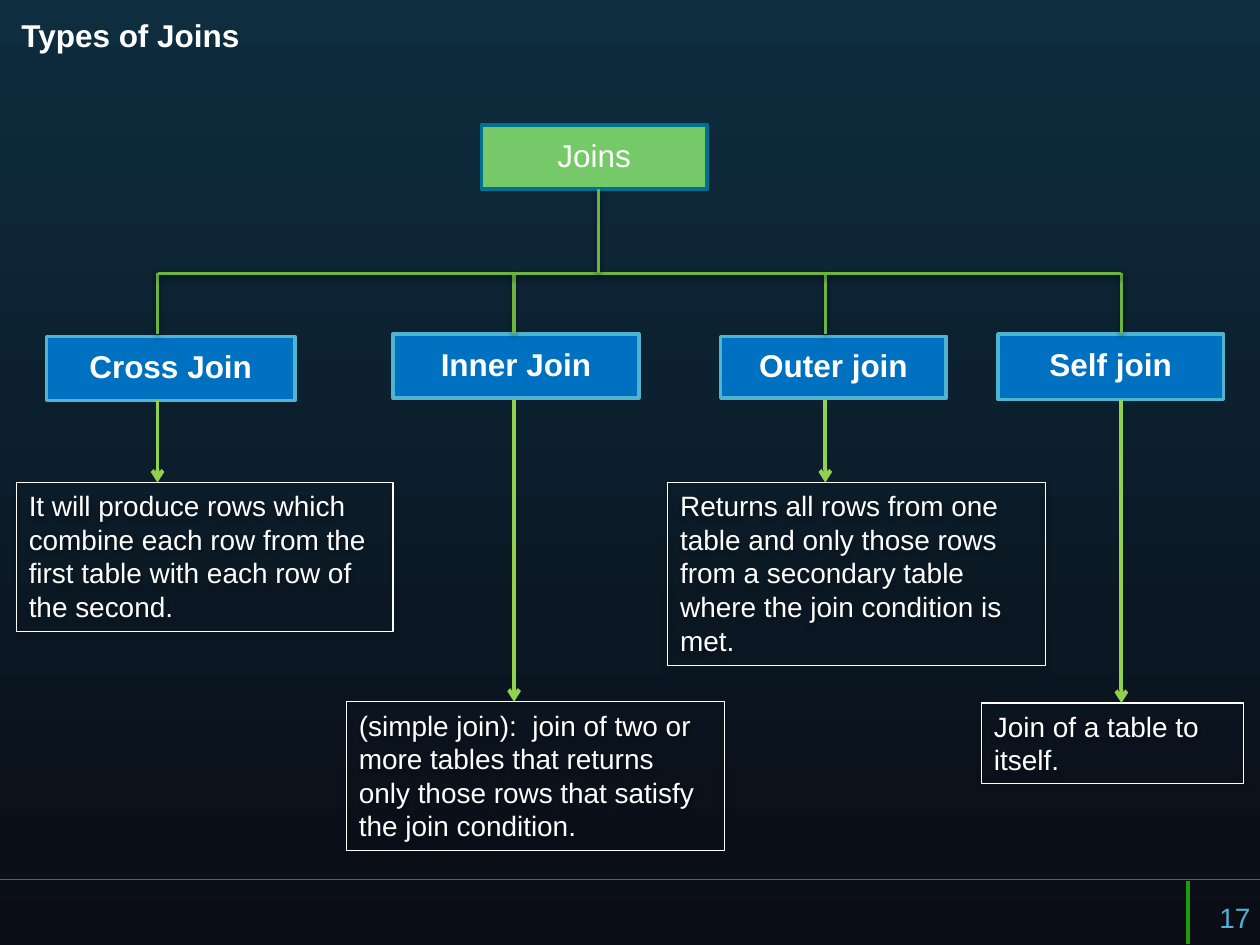
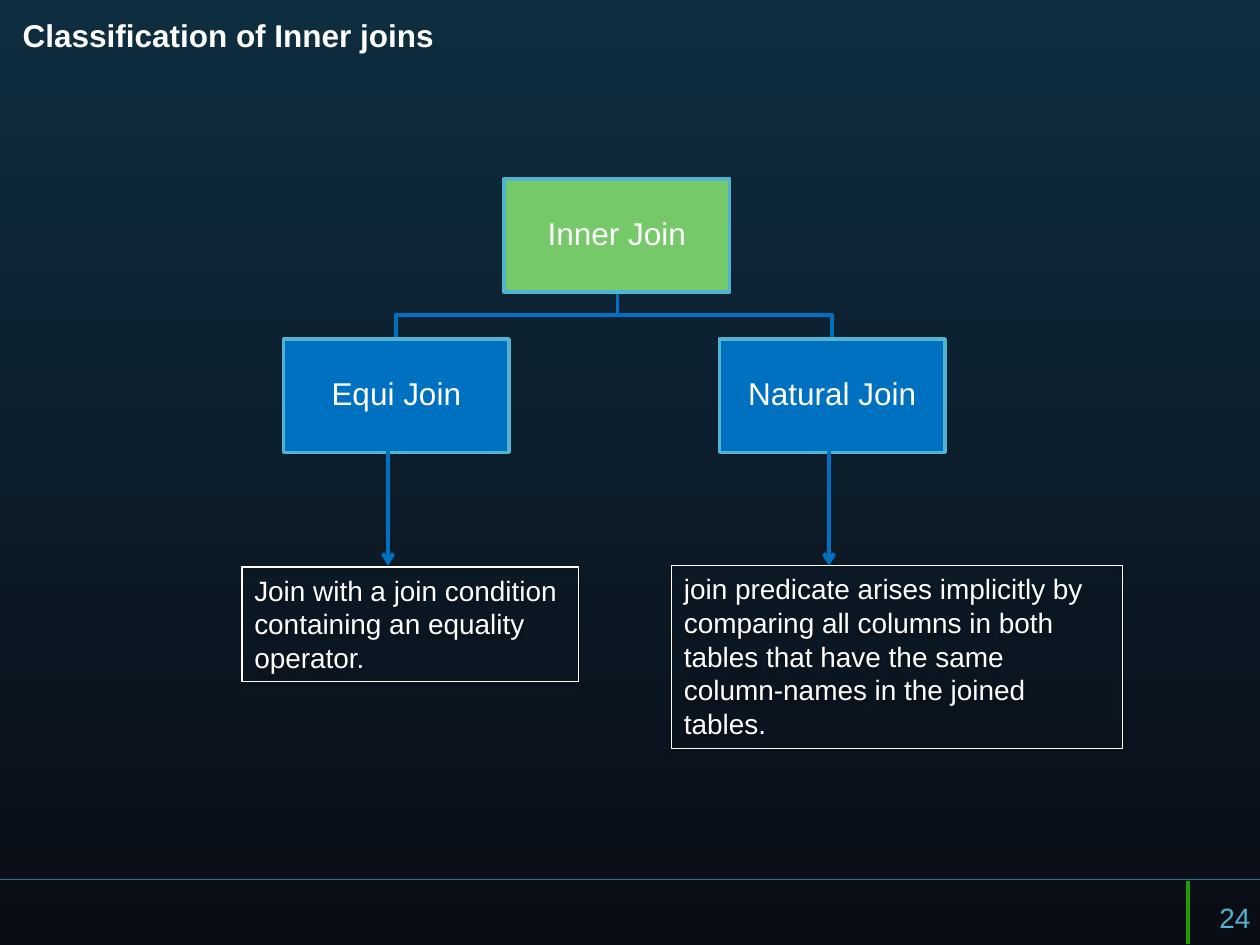
from lxml.etree import SubElement
from pptx import Presentation
from pptx.dml.color import RGBColor
from pptx.enum.shapes import MSO_CONNECTOR, MSO_SHAPE
from pptx.enum.text import MSO_ANCHOR, MSO_AUTO_SIZE, PP_ALIGN
from pptx.oxml.ns import qn
from pptx.util import Inches, Pt

COLS, ROWS = 100, 75  # grid of square cells over the slide
WHITE, GREEN, BLUE, CYAN = "FFFFFF", "76C968", "0070C0", "50B3CF"
TEAL, LEAF, LIME = "00728F", "6DB33F", "92D050"


def paint(target, color):
    """Give a fill, font or gradient stop a colour from a hex string."""
    if hasattr(target, "solid"):
        target.solid()
        target = target.fore_color
    else:
        target = target.color
    target.rgb = RGBColor.from_string(color)


class Deck:
    """Holds the shared style and the slide being drawn."""

    font = "Arial"

    def __init__(self):
        """Open the presentation and set the shared backdrop."""
        self.prs = Presentation()
        self.cell = Inches(10) / COLS
        self.prs.slide_width, self.prs.slide_height = self.grid(COLS, ROWS)
        fill = self.prs.slide_master.background.fill
        fill.gradient()
        fill.gradient_angle = 270
        for stop, color in zip(fill.gradient_stops, ("0E2D3F", "0A0D16")):
            paint(stop, color)

    def grid(self, *cells):
        """Turn grid cells into lengths."""
        return [round(cell * self.cell) for cell in cells]

    def label(self, shape, text, size, color=WHITE, bold=False,
              align=PP_ALIGN.LEFT, anchor=MSO_ANCHOR.TOP):
        """Put one styled paragraph in a shape."""
        frame = shape.text_frame
        frame.word_wrap = True
        frame.auto_size = MSO_AUTO_SIZE.NONE
        frame.vertical_anchor = anchor
        frame.text = text
        para = frame.paragraphs[0]
        para.alignment = align
        font = para.font
        font.name, font.size, font.bold = self.font, Pt(size), bold
        paint(font, color)
        return frame

    def shade(self, shape):
        """Add the soft drop shadow to a shape's effect list."""
        effects = shape.element.spPr.find(qn("a:effectLst"))
        shadow = SubElement(effects, qn("a:outerShdw"), blurRad="40000",
                            dist="20000", dir="5400000", rotWithShape="0")
        black = SubElement(shadow, qn("a:srgbClr"), val="000000")
        SubElement(black, qn("a:alpha"), val="38000")

    def edge(self, line, color, width):
        """Style a line or an outline."""
        paint(line.fill, color)
        line.width = Pt(width)

    def page(self, title, number, left):
        """Start a slide with its title, footer lines and number."""
        slide = self.prs.slides.add_slide(self.prs.slide_layouts[5])
        self.shapes = slide.shapes
        self.line((COLS, 69.8), (0, 69.8), "287094", 0.75)
        self.line((94.3, 69.9), (94.3, 74.9), "209D03")
        mark = self.shapes.add_textbox(*self.grid(95.8, 71, 8.1, 2.5))
        self.label(mark, str(number), 16, CYAN)
        head = self.shapes.title
        head.left, head.top, head.width, head.height = self.grid(
            left, 0.8, 75, 5.8)
        self.label(head, title, 18, bold=True)

    def line(self, start, end, color, width=2, shade=False):
        """Draw a straight line between two grid points."""
        line = self.shapes.add_connector(
            MSO_CONNECTOR.STRAIGHT, *self.grid(*start, *end))
        self.edge(line.line, color, width)
        SubElement(line.element.spPr, qn("a:effectLst"))
        if shade:
            self.shade(line)
        return line

    def arrow(self, x, top, end, color):
        """Draw an arrow straight down."""
        line = self.line((x, top), (x, end), color, 2.25)
        SubElement(line.element.spPr.find(qn("a:ln")), qn("a:tailEnd"),
                   type="arrow")

    def elbow(self, start, end, color):
        """Draw a bent line that turns halfway down."""
        mid = (start[1] + end[1]) / 2
        bends = [(start[0], mid), (end[0], mid), end]
        build = self.shapes.build_freeform(*self.grid(*start))
        build.add_line_segments([self.grid(*p) for p in bends], close=False)
        bend = build.convert_to_shape()
        bend.shadow.inherit = False
        bend.fill.background()
        self.edge(bend.line, color, 2)

    def rect(self, area):
        """Add a plain rectangle without a shadow."""
        rect = self.shapes.add_shape(MSO_SHAPE.RECTANGLE, *self.grid(*area))
        rect.shadow.inherit = False
        return rect

    def node(self, text, area, fill=BLUE, rim=CYAN, bold=False):
        """Draw a filled box of the tree."""
        box = self.rect(area)
        paint(box.fill, fill)
        self.edge(box.line, rim, 2)
        frame = self.label(box, text, 18, bold=bold, align=PP_ALIGN.CENTER,
                           anchor=MSO_ANCHOR.MIDDLE)
        frame.paragraphs[0].line_spacing = 0.9
        frame.margin_left = frame.margin_right = Inches(0.01)
        frame.margin_top = frame.margin_bottom = Inches(0.01)

    def note(self, text, area):
        """Draw an outlined box with an explanation."""
        box = self.rect(area)
        box.fill.background()
        self.edge(box.line, WHITE, 0.75)
        self.shade(box)
        frame = self.label(box, text, 16)
        frame.auto_size = MSO_AUTO_SIZE.SHAPE_TO_FIT_TEXT


def types(deck):
    """Draw the tree of all join types."""
    deck.page("Types of Joins", 17, 0.7)
    deck.node("Joins", (38.2, 9.9, 17.9, 5.1), GREEN, TEAL)
    # name, box, line position, explanation, explanation box
    kinds = [
        ("Cross Join", (3.7, 26.7, 19.7, 5.1), 12.5,
         "It will produce rows which combine each row from the first table "
         "with each row of the second.", (1.3, 38.3, 29.9, 11.8)),
        ("Inner Join", (31.2, 26.5, 19.5, 5.1), 40.8,
         "(simple join):  join of two or more tables that returns only "
         "those rows that satisfy the join condition.",
         (27.5, 55.7, 30, 11.8)),
        ("Outer join", (57.2, 26.7, 17.9, 4.9), 65.5,
         "Returns all rows from one table and only those rows from a "
         "secondary table where the join condition is met.",
         (53, 38.3, 30, 14.5)),
        ("Self join", (79.2, 26.5, 17.9, 5.2), 89,
         "Join of a table to itself.", (77.9, 55.8, 20.8, 6.4)),
    ]
    rail = 21.7
    for name, box, x, text, area in kinds:
        deck.node(name, box, bold=True)
        deck.note(text, area)
        deck.arrow(x, 31.75, area[1], LIME)
        deck.line((x, rail), (x, 26.5), LEAF, shade=True)
    deck.line((kinds[0][2], rail), (kinds[-1][2], rail), LEAF, shade=True)
    deck.line((47.5, rail), (47.5, 15), LEAF, shade=True)


def inner(deck):
    """Draw the tree of inner joins."""
    deck.page("Classification of Inner joins", 24, 0.8)
    wide, high, top = 17.9, 9, 26.9
    kinds = [
        ("Equi Join", 22.5, 30.8,
         "Join with a join condition containing an equality operator.",
         (19.2, 45, 26.7, 9.1)),
        ("Natural Join", 57.1, 65.8,
         "join predicate arises implicitly by comparing all columns in both "
         "tables that have the same column-names in the joined tables.",
         (53.3, 44.9, 35.8, 14.5)),
    ]
    for name, left, x, text, area in kinds:
        deck.elbow((49, 23.1), (left + wide / 2, top), BLUE)
        deck.node(name, (left, top, wide, high))
        deck.note(text, area)
        deck.arrow(x, 35.8, 44.9, BLUE)
    deck.node("Inner Join", (40, 14.2, wide, high), GREEN)


deck = Deck()
types(deck)
inner(deck)
deck.prs.save("out.pptx")
